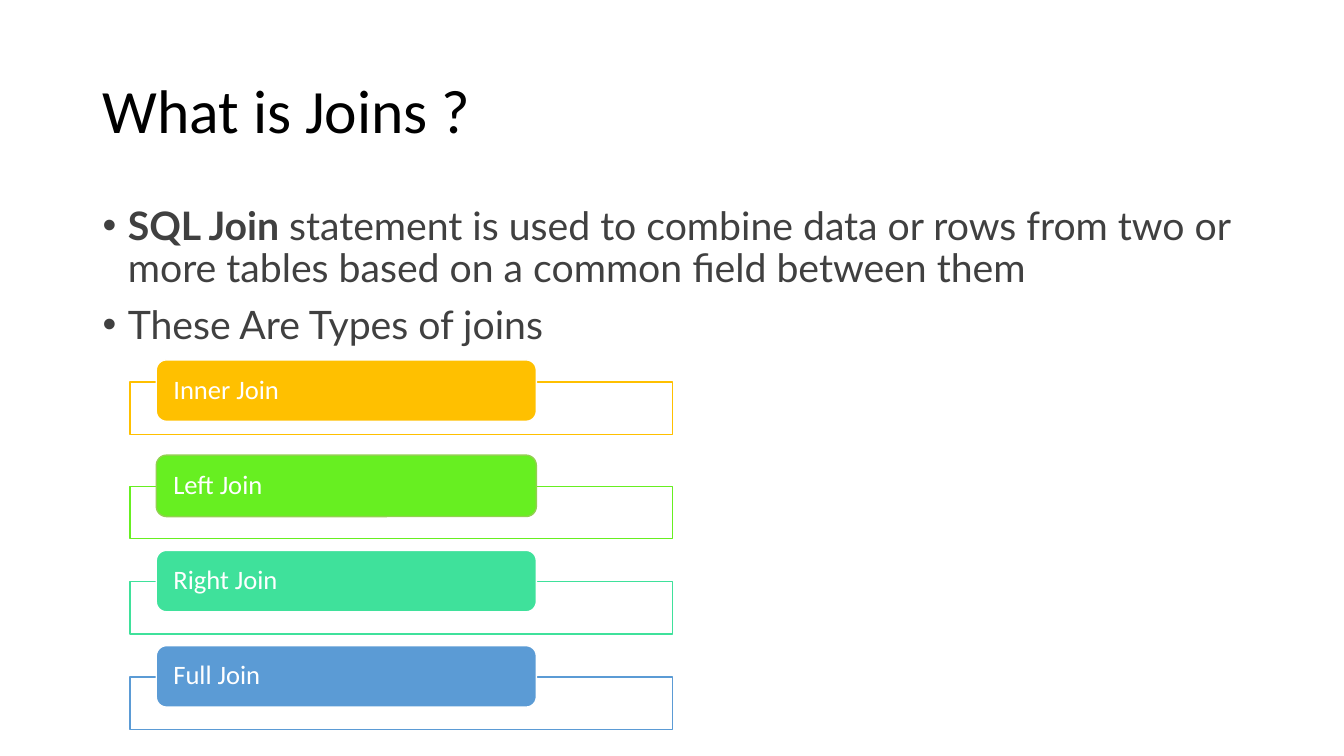
from dataclasses import dataclass

from lxml import etree
from pptx import Presentation
from pptx.dml.color import RGBColor
from pptx.enum import shapes, text
from pptx.oxml import ns
from pptx.util import Inches, Pt


@dataclass(frozen=True)
class Theme:
    head_font: str = "Calibri"
    body_font: str = "Lato"
    head_size: int = 44
    body_size: int = 28
    tab_size: int = 19
    black: str = "000000"
    grey: str = "404040"
    white: str = "FFFFFF"
    amber: str = "FFC000"
    lime: str = "67EF21"
    leaf: str = "92D050"
    mint: str = "3FE19B"
    blue: str = "5B9BD5"


THEME = Theme()
TAB_TOP, TAB_STEP = 3.57, 0.945

# label, colour, tab outline, drop from tab top to frame top
JOINS = [
    ("Inner Join", THEME.amber, THEME.white, 0.22),
    ("Left Join", THEME.lime, THEME.leaf, 0.31),
    ("Right Join", THEME.mint, THEME.white, 0.31),
    ("Full Join", THEME.blue, THEME.white, 0.31),
]


def add_run(para, words, font, size, color, bold=False):
    run = para.add_run()
    run.text = words
    run.font.name = font
    run.font.size = Pt(size)
    run.font.bold = bold
    run.font.color.rgb = RGBColor.from_string(color)


def add_box(slide, left, top, width, height):
    frame = slide.shapes.add_textbox(
        Inches(left), Inches(top), Inches(width), Inches(height)).text_frame
    frame.word_wrap = True
    return frame


def add_shape(slide, kind, left, top, width, height, fill, line):
    shape = slide.shapes.add_shape(
        kind, Inches(left), Inches(top), Inches(width), Inches(height))
    shape.shadow.inherit = False
    shape.fill.solid()
    shape.fill.fore_color.rgb = RGBColor.from_string(fill)
    shape.line.color.rgb = RGBColor.from_string(line)
    shape.line.width = Pt(1)
    return shape


def set_alpha(shape, percent):
    color = shape.element.spPr.find(ns.qn("a:solidFill"))[0]
    etree.SubElement(color, ns.qn("a:alpha"), val=str(percent * 1000))


def add_title(slide, words):
    frame = add_box(slide, 0.92, 0.4, 11.5, 1.45)
    frame.vertical_anchor = text.MSO_ANCHOR.MIDDLE
    para = frame.paragraphs[0]
    para.line_spacing = 0.9
    add_run(para, words, THEME.head_font, THEME.head_size, THEME.black)


def add_bullets(slide, items):
    """Each item is a list of (words, bold) runs."""
    frame = add_box(slide, 0.92, 2, 11.5, 1.6)
    for i, runs in enumerate(items):
        para = frame.add_paragraph() if i else frame.paragraphs[0]
        para.line_spacing = 0.9
        para.space_before = Pt(10)
        props = para._p.get_or_add_pPr()
        props.set("marL", str(Inches(0.25)))
        props.set("indent", str(-Inches(0.25)))
        etree.SubElement(props, ns.qn("a:buFont"), typeface="Arial")
        etree.SubElement(props, ns.qn("a:buChar"), char="•")
        for words, bold in runs:
            add_run(para, words, THEME.body_font, THEME.body_size,
                    THEME.grey, bold)


def add_join(slide, top, label, color, edge, drop):
    """Draw an outlined frame with a rounded, labelled tab over it."""
    kind = shapes.MSO_SHAPE
    frame = add_shape(slide, kind.RECTANGLE, 1.29, top + drop, 5.38, 0.52,
                      THEME.white, color)
    set_alpha(frame, 90)
    tab = add_shape(slide, kind.ROUNDED_RECTANGLE, 1.55, top, 3.77, 0.61,
                    color, edge)
    body = tab.text_frame
    body.word_wrap = True
    body.vertical_anchor = text.MSO_ANCHOR.MIDDLE
    body.margin_left = body.margin_right = Inches(0.14)
    body.margin_top = body.margin_bottom = 0
    para = body.paragraphs[0]
    para.alignment = text.PP_ALIGN.LEFT
    para.line_spacing = 0.9
    add_run(para, label, THEME.head_font, THEME.tab_size, THEME.white)


def main():
    deck = Presentation()
    deck.slide_width, deck.slide_height = Inches(13.33), Inches(7.5)
    slide = deck.slides.add_slide(deck.slide_layouts[6])
    add_title(slide, "What is Joins ?")
    add_bullets(slide, [
        [("SQL Join", True),
         (" statement is used to combine data or rows from two or more "
          "tables based on a common field between them", False)],
        [("These Are Types of joins", False)],
    ])
    for i, join in enumerate(JOINS):
        add_join(slide, TAB_TOP + i * TAB_STEP, *join)
    deck.save("out.pptx")


if __name__ == "__main__":
    main()
